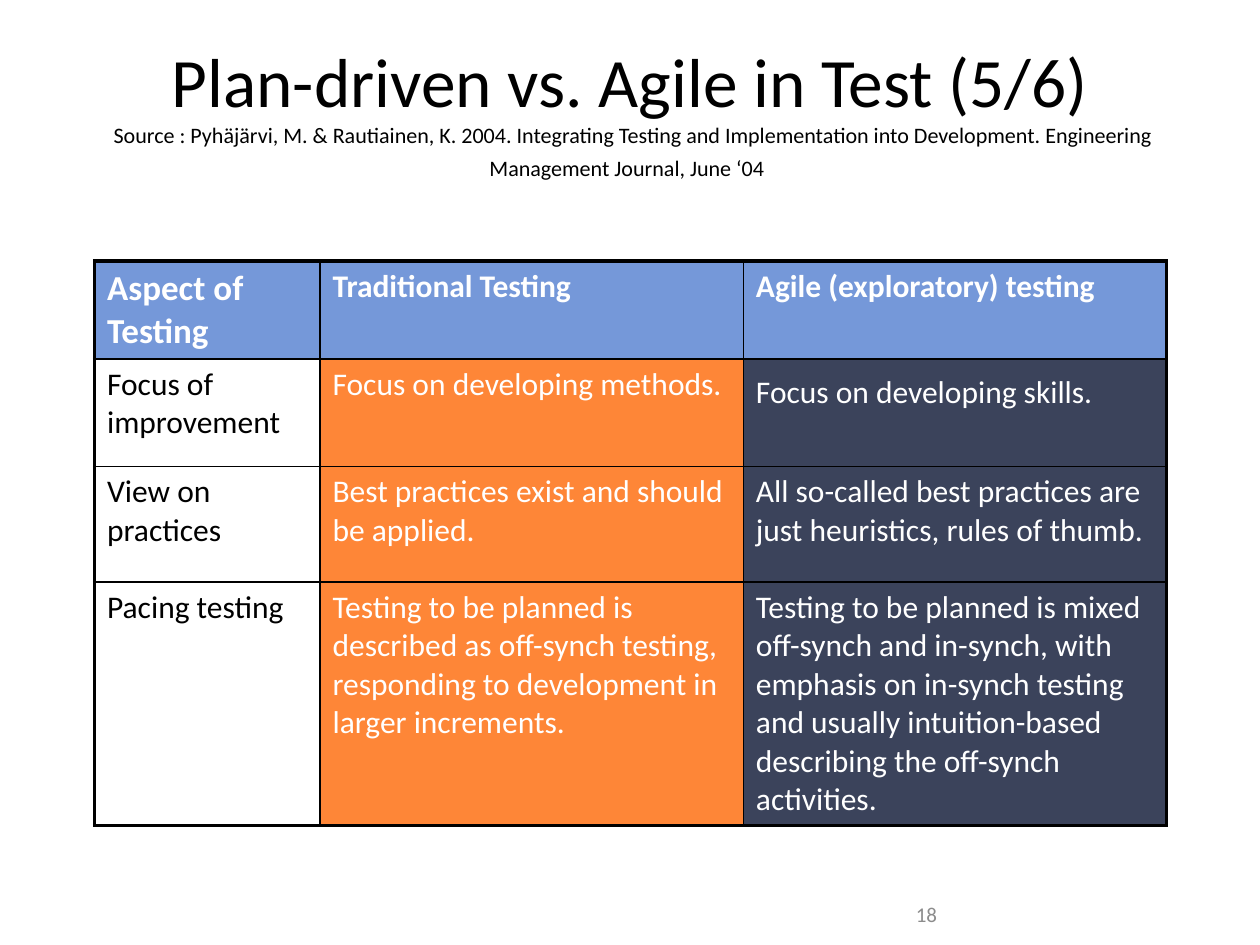
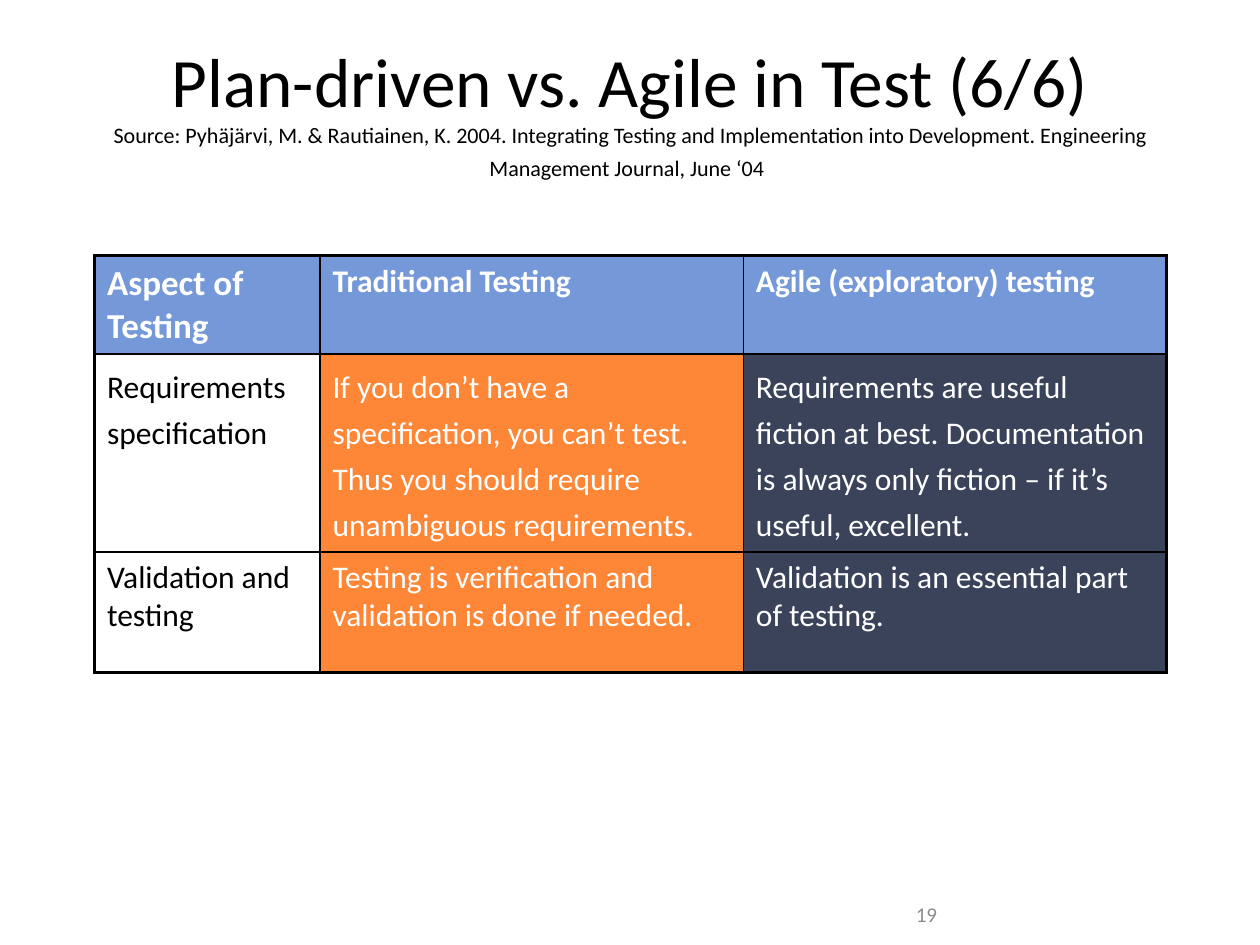
from lxml import etree
from pptx import Presentation
from pptx.dml.color import RGBColor
from pptx.enum.text import MSO_ANCHOR, PP_ALIGN
from pptx.oxml.ns import qn
from pptx.util import Inches, Pt

MIDDLE = MSO_ANCHOR.MIDDLE
CENTER = PP_ALIGN.CENTER

FONT = "Calibri"
BLACK = RGBColor(0x00, 0x00, 0x00)
WHITE = RGBColor(0xFF, 0xFF, 0xFF)
GRAY = RGBColor(0x8C, 0x8C, 0x8C)
BLUE = RGBColor(0x75, 0x98, 0xD9)
ORANGE = RGBColor(0xFE, 0x86, 0x37)
NAVY = RGBColor(0x3B, 0x43, 0x5B)

# Shared table design
COLUMN_WIDTHS = (1.79, 3.36, 3.36)
COLUMN_FILLS = (WHITE, ORANGE, NAVY)
COLUMN_INKS = (BLACK, WHITE, WHITE)
HEADER = ("Aspect of Testing", "Traditional Testing", "Agile (exploratory) testing")
HEADER_HEIGHT = 0.78
OUTER_LINE, INNER_LINE = 2.25, 1

CITATION = (
    "Pyhäjärvi, M. & Rautiainen, K. 2004. Integrating Testing and Implementation "
    "into Development. Engineering Management Journal, June ‘04"
)

# Each row is its height, its cell texts and the columns set with wide lines
SLIDES = [
    {
        "number": 18,
        "part": "5/6",
        "source": " Source : ",
        "table_top": 2.07,
        "rows": [
            (0.85, ("Focus of improvement",
                    "Focus on developing methods.",
                    "Focus on developing skills."), (2,)),
            (0.92, ("View on practices",
                    "Best practices exist and should be applied.",
                    "All so-called best practices are just heuristics, "
                    "rules of thumb."), ()),
            (1.93, ("Pacing testing",
                    "Testing to be planned is described as off-synch testing, "
                    "responding to development in larger increments.",
                    "Testing to be planned is mixed off-synch and in-synch, with "
                    "emphasis on in-synch testing and usually intuition-based "
                    "describing the off-synch activities."), ()),
        ],
    },
    {
        "number": 19,
        "part": "6/6",
        "source": "Source: ",
        "table_top": 2.03,
        "rows": [
            (1.57, ("Requirements specification",
                    "If you don’t have a specification, you can’t test. "
                    "Thus you should require unambiguous requirements.",
                    "Requirements are useful fiction at best. Documentation is "
                    "always only fiction – if it’s useful, excellent."), (0, 1, 2)),
            (0.96, ("Validation and testing",
                    "Testing is verification and validation is done if needed.",
                    "Validation is an essential part of testing."), ()),
        ],
    },
]


def write(para, text, size=18, color=BLACK, bold=False):
    span = para.add_run()
    span.text = text
    span.font.name = FONT
    span.font.size = Pt(size)
    span.font.bold = bold
    span.font.color.rgb = color


def add_border(cell, side, width):
    properties = cell._tc.get_or_add_tcPr()
    line = etree.SubElement(properties, qn(f"a:ln{side}"), w=str(Pt(width)))
    fill = etree.SubElement(line, qn("a:solidFill"))
    etree.SubElement(fill, qn("a:srgbClr"), val=str(BLACK))


deck = Presentation()
deck.slide_width = Inches(10)
deck.slide_height = Inches(7.5)

for content in SLIDES:
    page = deck.slides.add_slide(deck.slide_layouts[6])

    # Comparison table
    heights = [HEADER_HEIGHT] + [row[0] for row in content["rows"]]
    texts = [HEADER] + [row[1] for row in content["rows"]]
    wide_columns = [()] + [row[2] for row in content["rows"]]
    last_row, last_column = len(heights) - 1, len(COLUMN_WIDTHS) - 1
    table = page.shapes.add_table(
        len(heights), len(COLUMN_WIDTHS), Inches(0.75), Inches(content["table_top"]),
        Inches(sum(COLUMN_WIDTHS)), Inches(sum(heights))).table
    for column, width in enumerate(COLUMN_WIDTHS):
        table.columns[column].width = Inches(width)
    for row, height in enumerate(heights):
        table.rows[row].height = Inches(height)
        for column, text in enumerate(texts[row]):
            cell = table.cell(row, column)
            # Borders come before the fill in the cell properties
            outer_sides = (("L", column == 0), ("R", column == last_column),
                           ("T", row == 0), ("B", row == last_row))
            for side, is_outer in outer_sides:
                add_border(cell, side, OUTER_LINE if is_outer else INNER_LINE)
            cell.fill.solid()
            cell.fill.fore_color.rgb = BLUE if row == 0 else COLUMN_FILLS[column]
            para = cell.text_frame.paragraphs[0]
            if column in wide_columns[row]:
                para.line_spacing = 1.2
            if row == 0:
                write(para, text, size=20 if column == 0 else 18, color=WHITE, bold=True)
            else:
                write(para, text, color=COLUMN_INKS[column])

    # Title with its source
    box = page.shapes.add_textbox(Inches(0.75), Inches(0.25), Inches(8.5), Inches(1.25))
    box.text_frame.word_wrap = True
    box.text_frame.vertical_anchor = MIDDLE
    para = box.text_frame.paragraphs[0]
    para.alignment = CENTER
    write(para, f"Plan-driven vs. Agile in Test ({content['part']})", size=39.6)
    para.add_line_break()
    write(para, content["source"] + CITATION, size=12.6)
    write(para, " ", size=16.2)

    # Slide number
    box = page.shapes.add_textbox(Inches(7.17), Inches(7.17), Inches(2.08), Inches(0.17))
    box.text_frame.word_wrap = True
    box.text_frame.vertical_anchor = MIDDLE
    write(box.text_frame.paragraphs[0], str(content["number"]), size=12, color=GRAY)

deck.save("out.pptx")
